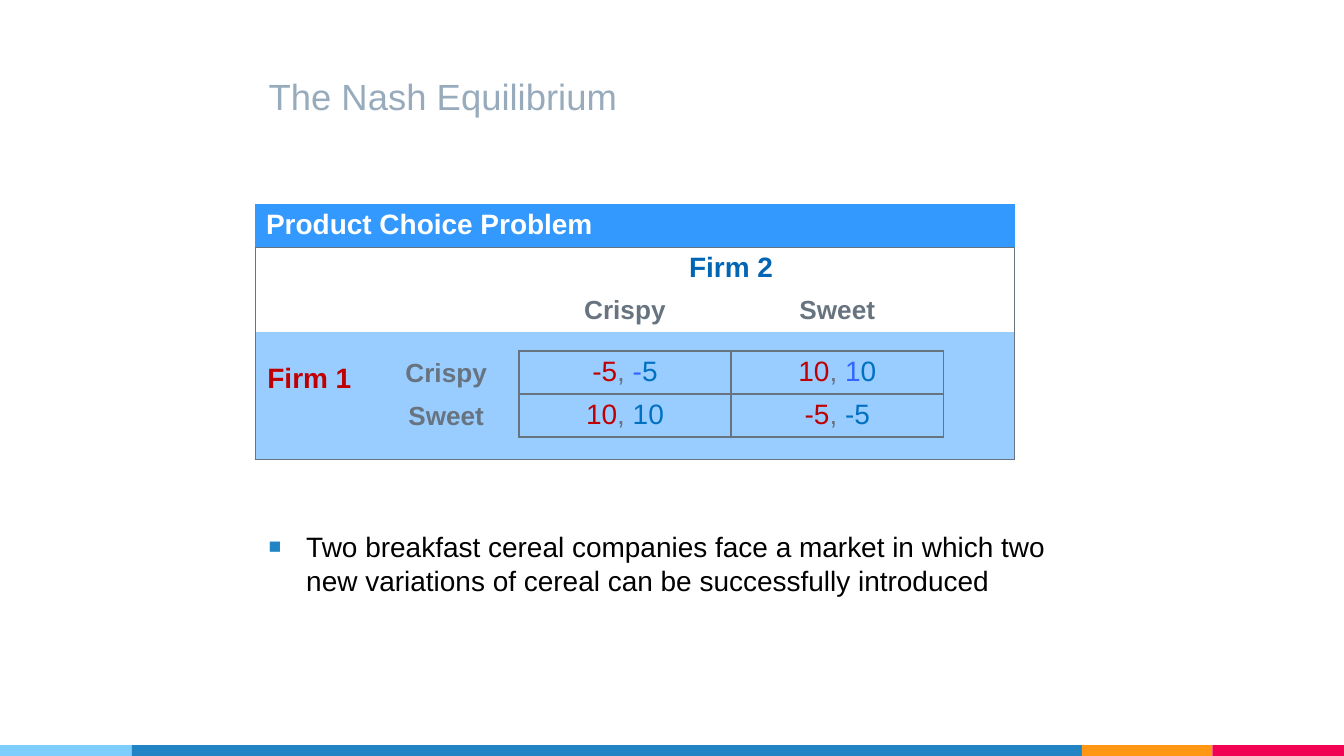
from dataclasses import dataclass
from lxml.etree import SubElement
from pptx import Presentation
from pptx.dml.color import RGBColor as RGB
from pptx.enum.shapes import MSO_SHAPE as SHAPE
from pptx.enum.text import MSO_ANCHOR as ANCHOR, MSO_AUTO_SIZE as FIT, PP_ALIGN as ALIGN
from pptx.oxml import parse_xml
from pptx.oxml.ns import nsdecls, qn
from pptx.util import Inches, Pt


@dataclass(frozen=True)
class Theme:
    font: str = "Arial"
    title_size: float = 19.5
    body_size: float = 15
    label_size: float = 14
    title: str = "97ABBC"
    body: str = "000000"
    white: str = "FFFFFF"
    header: str = "3399FF"
    panel: str = "99CCFF"
    grey: str = "677480"
    firm1: str = "C00000"
    firm2: str = "0066B3"
    payoff2: str = "0070C0"
    accent: str = "3366FF"
    sky: str = "7ECEFD"
    blue: str = "2185C5"
    orange: str = "FF9715"
    pink: str = "F20253"


T = Theme()
W = 10
H = W * 9 / 16
LEFT = 0.19 * W
NO_STYLE = "{2D5ABB26-0587-4C30-8999-92F81FD0307C}"
NEIGHBOURS = {"L": (0, -1), "R": (0, 1), "T": (-1, 0), "B": (1, 0)}


def add_run(p, text, size, color, bold=False):
    r = p.add_run()
    r.text = text
    r.font.name, r.font.size, r.font.bold = T.font, Pt(size), bold
    r.font.color.rgb = RGB.from_string(color)


def set_borders(cell, sides):
    """Draw the given sides, a subset of "LRTB", as thin grey lines; clear the rest."""
    tcPr = cell._tc.get_or_add_tcPr()
    line = f'<a:solidFill><a:srgbClr val="{T.grey}"/></a:solidFill>'
    for i, side in enumerate(NEIGHBOURS):
        paint = line if side in sides else "<a:noFill/>"
        tcPr.insert(i, parse_xml(
            f'<a:ln{side} {nsdecls("a")} w="12700">{paint}</a:ln{side}>'))


prs = Presentation()
prs.slide_width, prs.slide_height = Inches(W), Inches(H)
s = prs.slides.add_slide(prs.slide_layouts[6])

# Footer strip
edges = [0, 0.98, 8.05, 9.02, W]
for x, x2, color in zip(edges, edges[1:], (T.sky, T.blue, T.orange, T.pink)):
    sp = s.shapes.add_shape(SHAPE.RECTANGLE, Inches(x), Inches(H - 0.08),
                            Inches(x2 - x), Inches(0.08))
    sp.shadow.inherit = False
    sp.fill.solid()
    sp.fill.fore_color.rgb = RGB.from_string(color)
    sp.line.fill.background()

# Title
tf = s.shapes.add_textbox(Inches(LEFT), Inches(0.58), Inches(6.35), Inches(0.4)).text_frame
tf.word_wrap = True
tf.vertical_anchor = ANCHOR.BOTTOM
tf.margin_top = tf.margin_bottom = Inches(0.1)
add_run(tf.paragraphs[0], "The Nash Equilibrium", T.title_size, T.title)

# Payoff table
cols = [0.88, 1.08, 1.58, 1.58, 0.53]
rows = [0.32, 0.32, 0.31, 0.14, 0.32, 0.32, 0.17]
frame = s.shapes.add_table(len(rows), len(cols), Inches(LEFT), Inches(1.52),
                           Inches(sum(cols)), Inches(sum(rows)))
table = frame.table
table.first_row = table.horz_banding = False
table._tbl.tblPr.find(qn("a:tableStyleId")).text = NO_STYLE
for col, width in zip(table.columns, cols):
    col.width = Inches(width)
for row, height in zip(table.rows, rows):
    row.height = Inches(height)

# Runs by (row, column): text, size, colour, bold
content = {
    (0, 0): [("Product Choice Problem", T.body_size, T.white, True)],
    (1, 2): [("Firm 2", T.body_size, T.firm2, True)],
    (4, 0): [("Firm 1", T.body_size, T.firm1, True)],
}
for i, choice in enumerate(("Crispy", "Sweet")):
    content[2, 2 + i] = content[4 + i, 1] = [(choice, T.label_size, T.grey, True)]
payoffs = {
    (4, 2): ("-5", [("-", T.accent), ("5", T.payoff2)]),
    (4, 3): ("10", [("1", T.accent), ("0", T.payoff2)]),
    (5, 2): ("10", [("10", T.payoff2)]),
    (5, 3): ("-5", [("-5", T.payoff2)]),
}
for key, (first, second) in payoffs.items():
    parts = [(first, T.firm1), (", ", T.grey), *second]
    content[key] = [(text, T.body_size, color) for text, color in parts]

# Lines run round the area below the header and round each payoff
framed = {(r, c) for r in range(1, len(rows)) for c in range(len(cols))}
for r in range(len(rows)):
    for c in range(len(cols)):
        cell = table.cell(r, c)
        p = cell.text_frame.paragraphs[0]
        if (r, c) in content:
            cell.margin_left = cell.margin_right = Inches(0.08)
            cell.margin_top, cell.margin_bottom = Inches(0.04), Inches(0.03)
            p.alignment = ALIGN.LEFT if c == 0 else ALIGN.CENTER
            if r > 3 and c < 2:
                cell.vertical_anchor = ANCHOR.MIDDLE
            for run in content[r, c]:
                add_run(p, *run)
        else:
            cell.margin_top = cell.margin_bottom = 0
            SubElement(p._p, qn("a:endParaRPr"), sz="600")
        if r == 0 or r > 2:
            cell.fill.solid()
            cell.fill.fore_color.rgb = RGB.from_string(T.panel if r else T.header)
        else:
            cell.fill.background()
        sides = ""
        for side, (dr, dc) in NEIGHBOURS.items():
            here, there = (r, c), (r + dr, c + dc)
            if here in payoffs or there in payoffs or (here in framed) != (there in framed):
                sides += side
        set_borders(cell, sides)

firm1 = table.cell(4, 0)
firm1.margin_left, firm1.margin_bottom = Inches(0.09), Inches(0.27)
for start, end in [((0, 0), (0, 4)), ((1, 0), (2, 0)), ((1, 1), (2, 1)),
                   ((1, 2), (1, 3)), ((4, 0), (5, 0))]:
    table.cell(*start).merge(table.cell(*end))

# Bullet text
tf = s.shapes.add_textbox(Inches(LEFT), Inches(3.88), Inches(6.25), Inches(0.61)).text_frame
tf.word_wrap = True
tf.auto_size = FIT.SHAPE_TO_FIT_TEXT
p = tf.paragraphs[0]
p.line_spacing = 1.03
pPr = p._p.get_or_add_pPr()
pPr.set("marL", str(Inches(0.28)))
pPr.set("indent", str(-Inches(0.28)))
SubElement(SubElement(pPr, qn("a:buClr")), qn("a:srgbClr"), val=T.blue)
SubElement(pPr, qn("a:buSzPct"), val="75000")
SubElement(pPr, qn("a:buFont"), typeface=T.font)
SubElement(pPr, qn("a:buChar"), char="■")
add_run(p, "Two breakfast cereal companies face a market in which two "
           "new variations of cereal can be successfully introduced",
        T.body_size, T.body)

prs.save("out.pptx")
